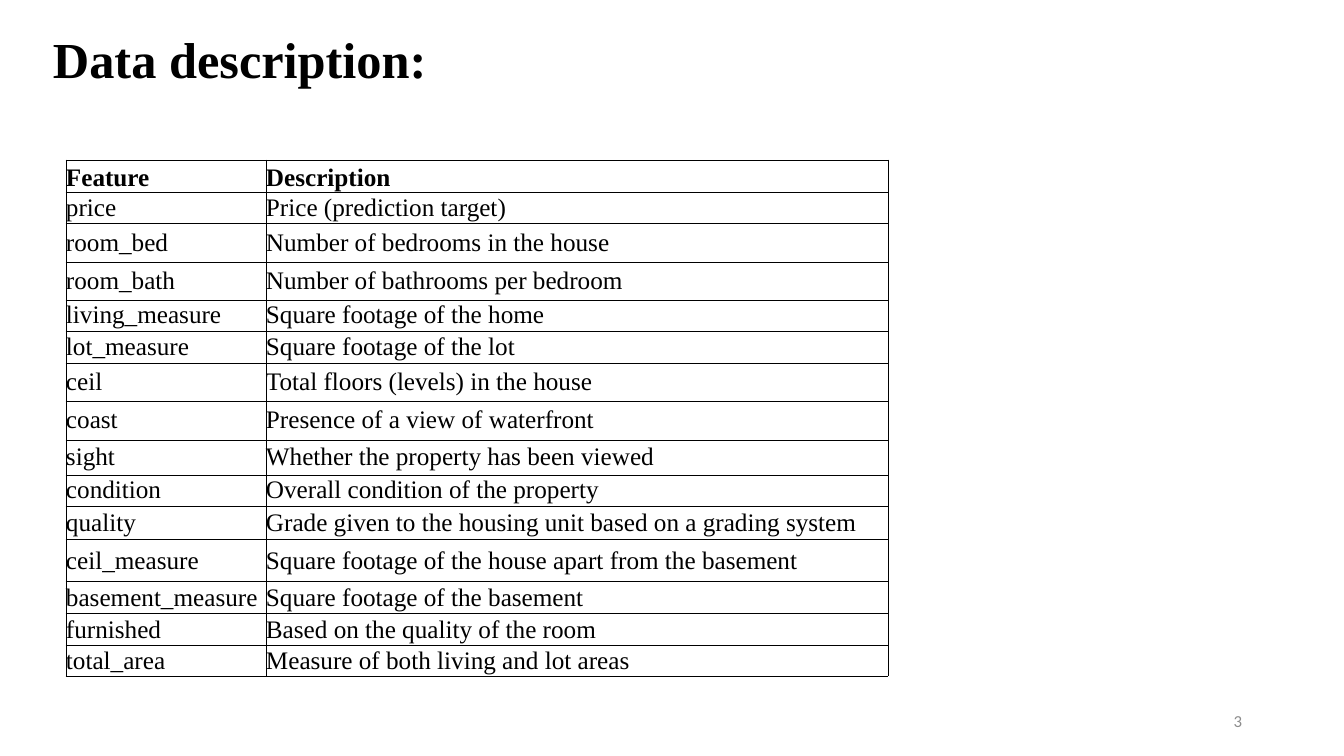
from lxml.etree import SubElement
from pptx import Presentation
from pptx.dml.color import RGBColor
from pptx.enum.text import MSO_ANCHOR, PP_ALIGN
from pptx.oxml.ns import qn
from pptx.util import Emu, Pt

PAGE_WIDTH, PAGE_HEIGHT = 1344, 756
SCALE = 914400 / 100.8  # EMU in one px

FEATURES = [  # feature, description, row height
    ("Feature", "Description", 32),
    ("price", "Price (prediction target)", 31),
    ("room_bed", "Number of bedrooms in the house", 39),
    ("room_bath", "Number of bathrooms per bedroom", 38),
    ("living_measure", "Square footage of the home", 31),
    ("lot_measure", "Square footage of the lot", 32),
    ("ceil", "Total floors (levels) in the house", 38),
    ("coast", "Presence of a view of waterfront", 39),
    ("sight", "Whether the property has been viewed", 35),
    ("condition", "Overall condition of the property", 31),
    ("quality", "Grade given to the housing unit based on a grading system", 34),
    ("ceil_measure", "Square footage of the house apart from the basement", 42),
    ("basement_measure", "Square footage of the basement", 32),
    ("furnished", "Based on the quality of the room", 32),
    ("total_area", "Measure of both living and lot areas", 28),
]


def px(length):
    return Emu(round(length * SCALE))


def color(value):
    return RGBColor.from_string(value)


class SlideBuilder:
    font = "Times New Roman"
    ink = "000000"
    border_width = Pt(0.5)

    def __init__(self, page):
        self.page = page

    def add_span(self, para, words, size, bold=False, font=None, ink=None):
        span = para.add_run()
        span.text = words
        span.font.name = font or self.font
        span.font.size = Pt(size)
        span.font.bold = bold
        span.font.color.rgb = color(ink or self.ink)

    def text(self, left, top, width, height, words, size, align=PP_ALIGN.LEFT,
             line_spacing=None, **style):
        box = self.page.shapes.add_textbox(px(left), px(top), px(width), px(height))
        frame = box.text_frame
        frame.word_wrap = True
        frame.vertical_anchor = MSO_ANCHOR.MIDDLE
        para = frame.paragraphs[0]
        para.alignment = align
        para.line_spacing = line_spacing
        self.add_span(para, words, size, **style)

    def border(self, cell):
        properties = cell._tc.get_or_add_tcPr()
        for side in ("a:lnL", "a:lnR", "a:lnT", "a:lnB"):
            line = SubElement(properties, qn(side), w=str(self.border_width))
            fill = SubElement(line, qn("a:solidFill"))
            SubElement(fill, qn("a:srgbClr"), val=self.ink)

    def table(self, left, top, widths, rows, size):
        heights = [row[-1] for row in rows]
        table = self.page.shapes.add_table(
            len(rows), len(widths), px(left), px(top),
            px(sum(widths)), px(sum(heights))).table
        table.first_row = table.horz_banding = False
        for column, width in zip(table.columns, widths):
            column.width = px(width)
        for index, (*texts, height) in enumerate(rows):
            table.rows[index].height = px(height)
            heading = index == 0
            for cell, words in zip(table.rows[index].cells, texts):
                cell.margin_left = cell.margin_right = 0
                cell.margin_top = cell.margin_bottom = 0
                cell.vertical_anchor = MSO_ANCHOR.BOTTOM if heading else MSO_ANCHOR.MIDDLE
                self.border(cell)
                cell.fill.background()
                self.add_span(cell.text_frame.paragraphs[0], words, size, bold=heading)


def main():
    deck = Presentation()
    deck.slide_width, deck.slide_height = px(PAGE_WIDTH), px(PAGE_HEIGHT)
    builder = SlideBuilder(deck.slides.add_slide(deck.slide_layouts[6]))

    # Title
    builder.text(43, 15, 1207, 95, "Data description:", 36, line_spacing=0.9, bold=True)

    # Feature table
    builder.table(66, 160, (200, 622), FEATURES, 18)

    # Page number
    builder.text(950, 701, 302, 40, "3", 12, align=PP_ALIGN.RIGHT,
                 font="Calibri", ink="8C8C8C")

    deck.save("out.pptx")


if __name__ == "__main__":
    main()
